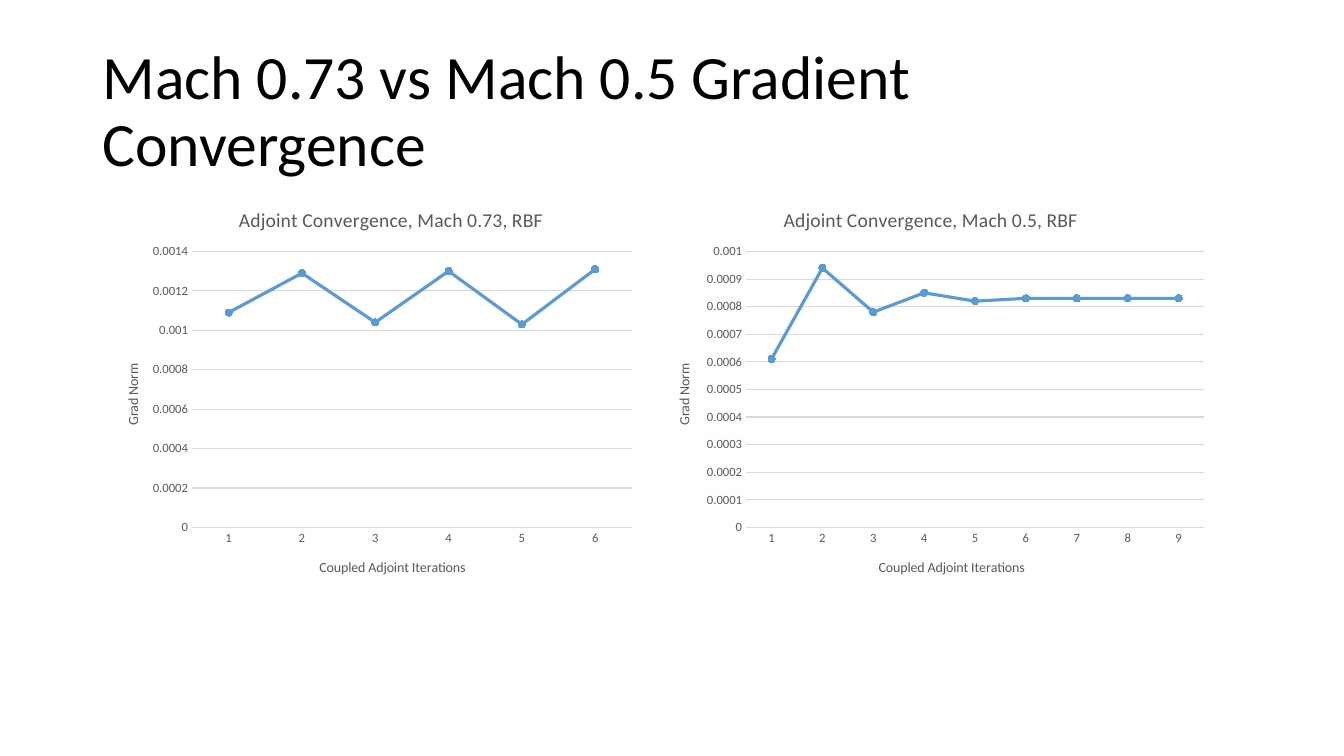
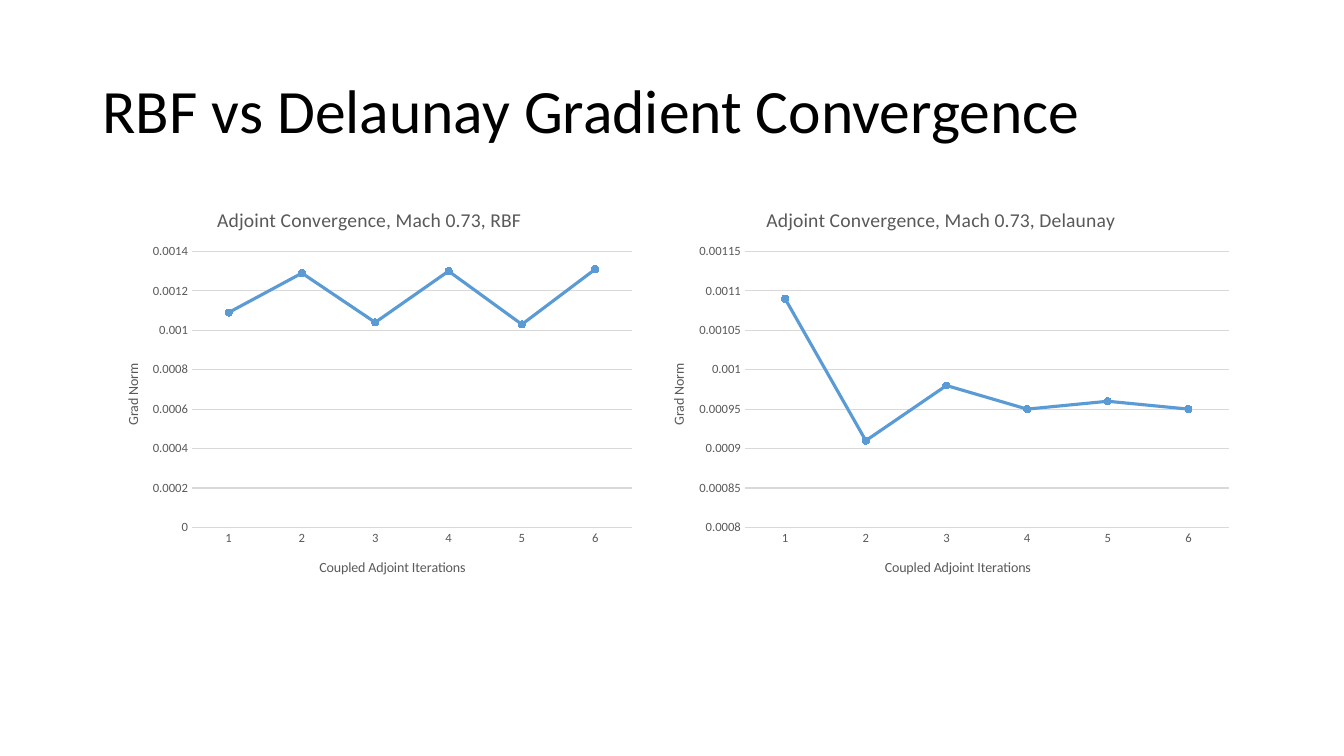
from dataclasses import dataclass

from lxml import etree
from pptx import Presentation
from pptx.chart.data import CategoryChartData
from pptx.dml.color import RGBColor
from pptx.enum.chart import XL_CHART_TYPE, XL_MARKER_STYLE, XL_TICK_MARK
from pptx.enum.text import MSO_ANCHOR, MSO_AUTO_SIZE, PP_ALIGN
from pptx.oxml.ns import qn
from pptx.util import Cm, Pt

LINE_MARKERS = XL_CHART_TYPE.LINE_MARKERS
CIRCLE = XL_MARKER_STYLE.CIRCLE
NO_TICK = XL_TICK_MARK.NONE
MIDDLE = MSO_ANCHOR.MIDDLE
NO_AUTOFIT = MSO_AUTO_SIZE.NONE
LEFT = PP_ALIGN.LEFT
TITLE_ONLY = 5


@dataclass(frozen=True)
class Theme:
    font: str = "Calibri"
    ink: RGBColor = RGBColor(0, 0, 0)
    muted: RGBColor = RGBColor(0x59, 0x59, 0x59)
    grid: RGBColor = RGBColor(0xD9, 0xD9, 0xD9)
    accent: RGBColor = RGBColor(0x5B, 0x9B, 0xD5)
    heading_size: int = 44
    chart_title_size: int = 14
    axis_title_size: int = 10
    label_size: int = 9
    line_width: float = 2.25
    hairline: float = 0.75
    marker_size: int = 5


def set_all(target, values):
    for name, value in values.items():
        setattr(target, name, value)


def set_layout(owner, **fractions):
    """Place a chart part by fractions of the chart's size."""
    layout = owner.find(qn("c:layout"))
    if layout is None:
        layout = etree.Element(qn("c:layout"))
        owner.insert(1 if owner[0].tag == qn("c:tx") else 0, layout)
    manual = etree.SubElement(layout, qn("c:manualLayout"))
    values = {"xMode": "edge", "yMode": "edge", **fractions}
    if "w" in fractions:
        values = {"layoutTarget": "inner", **values}
    for name, value in values.items():
        etree.SubElement(manual, qn(f"c:{name}")).set("val", str(value))


class Deck:
    def __init__(self, theme):
        self.theme = theme
        self.deck = Presentation()
        set_all(self.deck, {"slide_width": Cm(33.87), "slide_height": Cm(19.05)})
        self.page = None

    def font(self, target, size, color):
        set_all(target, {"name": self.theme.font, "size": Pt(size), "bold": False})
        target.color.rgb = color

    def line(self, target, width, color):
        target.width = Pt(width)
        target.color.rgb = color

    # Slide with its heading
    def add_page(self, heading):
        layout = self.deck.slide_layouts[TITLE_ONLY]
        self.page = self.deck.slides.add_slide(layout)
        box = self.page.shapes.title
        set_all(box, {"left": Cm(2.33), "top": Cm(1.01),
                      "width": Cm(29.21), "height": Cm(3.68)})
        set_all(box.text_frame, {"text": heading, "vertical_anchor": MIDDLE,
                                 "word_wrap": True, "auto_size": NO_AUTOFIT})
        para = box.text_frame.paragraphs[0]
        set_all(para, {"alignment": LEFT, "line_spacing": 0.9})
        self.font(para.runs[0].font, self.theme.heading_size, self.theme.ink)

    # Title of a chart or an axis
    def label(self, title, text, size, x, y):
        title.text_frame.text = text
        self.font(title.text_frame.paragraphs[0].runs[0].font, size, self.theme.muted)
        set_layout(title.element if hasattr(title, "element") else title, x=x, y=y)

    # Axis with its labels
    def axis(self, axis, text, x, y):
        set_all(axis, {"major_tick_mark": NO_TICK, "minor_tick_mark": NO_TICK})
        self.font(axis.tick_labels.font, self.theme.label_size, self.theme.muted)
        self.label(axis.axis_title, text, self.theme.axis_title_size, x, y)

    # Line chart of gradient norm per iteration
    def line_chart(self, title, values, left, width, title_x, low, high, step):
        theme = self.theme
        data = CategoryChartData()
        data.categories = [str(number + 1) for number in range(len(values))]
        data.add_series(title, values)
        chart = self.page.shapes.add_chart(
            LINE_MARKERS, Cm(left), Cm(4.7), Cm(width), Cm(10.23), data).chart
        self.font(chart.font, theme.axis_title_size, theme.ink)
        set_all(chart, {"has_legend": False, "has_title": True})
        self.label(chart.chart_title, title, theme.chart_title_size, title_x, 0.04)
        set_layout(chart.element.find(".//" + qn("c:plotArea")),
                   x=0.17, y=0.16, w=0.81, h=0.68)

        iterations, norm = chart.category_axis, chart.value_axis
        self.axis(iterations, "Coupled Adjoint Iterations", 0.4, 0.91)
        self.line(iterations.format.line, theme.hairline, theme.grid)
        self.axis(norm, "Grad Norm", 0.04, 0.43)
        norm.axis_title.element.find(".//" + qn("a:bodyPr")).set("rot", "-5400000")
        norm.format.line.fill.background()
        set_all(norm, {"minimum_scale": low, "maximum_scale": high,
                       "major_unit": step, "has_major_gridlines": True})
        set_all(norm.tick_labels, {"number_format": "General",
                                   "number_format_is_linked": False})
        self.line(norm.major_gridlines.format.line, theme.hairline, theme.grid)

        plot = chart.plots[0]
        plot.vary_by_categories = False
        series = plot.series[0]
        series.smooth = False
        self.line(series.format.line, theme.line_width, theme.accent)
        set_all(series.marker, {"style": CIRCLE, "size": theme.marker_size})
        series.marker.format.fill.solid()
        series.marker.format.fill.fore_color.rgb = theme.accent
        self.line(series.marker.format.line, theme.hairline, theme.accent)


# Charts
MACH_073_RBF = {
    "title": "Adjoint Convergence, Mach 0.73, RBF",
    "values": (0.00109, 0.00129, 0.00104, 0.0013, 0.00103, 0.00131),
    "left": 2.51, "width": 13.69, "low": 0, "high": 0.0014, "step": 0.0002,
}
MACH_05_RBF = {
    "title": "Adjoint Convergence, Mach 0.5, RBF",
    "values": (0.00061, 0.00094, 0.00078, 0.00085, 0.00082,
               0.00083, 0.00083, 0.00083, 0.00083),
    "left": 16.38, "width": 14.25, "low": 0, "high": 0.001, "step": 0.0001,
}
MACH_073_DELAUNAY = {
    "title": "Adjoint Convergence, Mach 0.73, Delaunay",
    "values": (0.00109, 0.00091, 0.00098, 0.00095, 0.00096, 0.00095),
    "left": 16.21, "width": 15.06, "low": 0.0008, "high": 0.00115, "step": 0.00005,
}

# Headings, each with its charts and the left edges of their titles
PAGES = (
    ("Mach 0.73 vs Mach 0.5 Gradient Convergence",
     ((MACH_073_RBF, 0.25), (MACH_05_RBF, 0.23))),
    ("RBF vs Delaunay Gradient Convergence",
     ((MACH_073_RBF, 0.21), (MACH_073_DELAUNAY, 0.2))),
)


def main():
    deck = Deck(Theme())
    for heading, charts in PAGES:
        deck.add_page(heading)
        for chart, title_x in charts:
            deck.line_chart(title_x=title_x, **chart)
    deck.deck.save("out.pptx")


if __name__ == "__main__":
    main()
